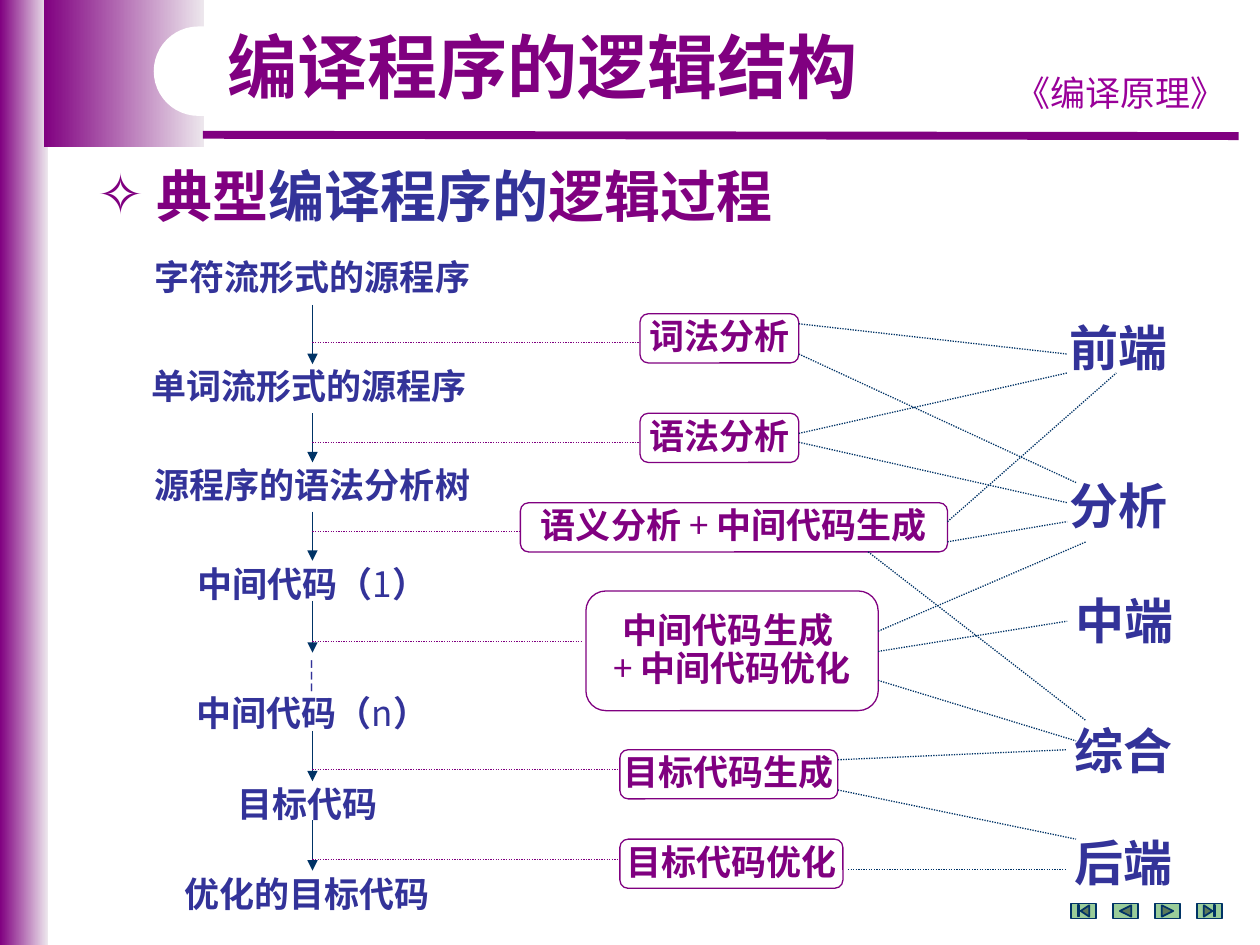
from lxml import etree
from pptx import Presentation
from pptx.dml.color import RGBColor
from pptx.enum.dml import MSO_LINE
from pptx.enum.shapes import MSO_CONNECTOR, MSO_SHAPE
from pptx.enum.text import MSO_ANCHOR, MSO_AUTO_SIZE, PP_ALIGN
from pptx.oxml.ns import qn
from pptx.util import Inches, Pt

STRAIGHT, DOTTED = MSO_CONNECTOR.STRAIGHT, MSO_LINE.ROUND_DOT
RECT, ROUNDED = MSO_SHAPE.RECTANGLE, MSO_SHAPE.ROUNDED_RECTANGLE
LEFT, CENTER = PP_ALIGN.LEFT, PP_ALIGN.CENTER
TOP, MIDDLE = MSO_ANCHOR.TOP, MSO_ANCHOR.MIDDLE
CJK = "Noto Sans CJK SC"
COLORS = {
    name: RGBColor.from_string(value)
    for name, value in {
        "purple": "800080", "pale": "EDE7ED", "violet": "990099", "blue": "333399",
        "navy": "003366", "green": "99CC99", "white": "FFFFFF",
    }.items()
}


def write(shape, paragraphs, size=20, color="blue", bold=True, font=CJK,
          align=CENTER, anchor=TOP, spacing=0.9, wrap=False):
    """Fill a shape with paragraphs of runs; a run is a text or (text, overrides)."""
    frame = shape.text_frame
    frame.word_wrap = wrap
    frame.auto_size = MSO_AUTO_SIZE.NONE
    frame.vertical_anchor = anchor
    for index, runs in enumerate(paragraphs):
        paragraph = frame.add_paragraph() if index else frame.paragraphs[0]
        paragraph.alignment = align
        paragraph.line_spacing = spacing
        paragraph.space_before = Pt(0)
        for part in runs:
            text, changes = (part, {}) if isinstance(part, str) else part
            run = paragraph.add_run()
            run.text = text
            run.font.size = Pt(size)
            run.font.bold = changes.get("bold", bold)
            run.font.color.rgb = COLORS[changes.get("color", color)]
            run.font.name = font
            east_asian = etree.SubElement(run.font._element, qn("a:ea"))
            east_asian.set("typeface", CJK)


def connect(x1, y1, x2, y2, color="navy", width=0.75, dash=None, arrow=False):
    line = slide.shapes.add_connector(
        STRAIGHT, Inches(x1), Inches(y1), Inches(x2), Inches(y2))
    line.line.color.rgb = COLORS[color]
    line.line.width = Pt(width)
    if dash:
        line.line.dash_style = dash
    if arrow:
        etree.SubElement(line.line._get_or_add_ln(), qn("a:tailEnd"), type="triangle")
    etree.SubElement(line._element.spPr, qn("a:effectLst"))


prs = Presentation()
prs.slide_width, prs.slide_height = Inches(10), Inches(7.5)
slide = prs.slides.add_slide(prs.slide_layouts[1])
shapes = slide.shapes

# Purple frame
for left, width, height in [(0, 0.38, 7.5), (0.35, 1.27, 1.17)]:
    band = shapes.add_shape(RECT, Inches(left), Inches(0), Inches(width), Inches(height))
    band.shadow.inherit = False
    band.line.fill.background()
    band.fill.gradient()
    band.fill.gradient_angle = 0
    for stop, position, color in zip(band.fill.gradient_stops, (0, 1), ("purple", "pale")):
        stop.position = position
        stop.color.rgb = COLORS[color]
connect(1.61, 1.07, 9.83, 1.08, color="purple", width=4.5)

course = shapes.add_textbox(Inches(7.91), Inches(0.52), Inches(1.97), Inches(0.43))
write(course, [["《编译原理》"]], color="violet", bold=False, spacing=1)

title_backing = shapes.add_shape(ROUNDED, Inches(1.22), Inches(0.21), Inches(3.62), Inches(0.71))
title_backing.adjustments[0] = 0.5
title_backing.shadow.inherit = False
title_backing.fill.solid()
title_backing.fill.fore_color.rgb = COLORS["white"]
title_backing.line.fill.background()

# Navigation buttons
for index, button_kind in enumerate([
        MSO_SHAPE.ACTION_BUTTON_BEGINNING, MSO_SHAPE.ACTION_BUTTON_BACK_OR_PREVIOUS,
        MSO_SHAPE.ACTION_BUTTON_FORWARD_OR_NEXT, MSO_SHAPE.ACTION_BUTTON_END]):
    button = shapes.add_shape(
        button_kind, Inches(8.5 + index / 3), Inches(7.17), Inches(0.2), Inches(0.12))
    button.shadow.inherit = False
    button.fill.solid()
    button.fill.fore_color.rgb = COLORS["green"]
    button.line.color.rgb = COLORS["navy"]
    button.line.width = Pt(1)

# Title and heading, raised above the frame
title, heading = shapes.title, slide.placeholders[1]
for placeholder, (left, top, width, height) in [
        (title, (1.65, 0.21, 5.31, 0.7)), (heading, (0.67, 1.23, 5.79, 0.63))]:
    placeholder.left, placeholder.top = Inches(left), Inches(top)
    placeholder.width, placeholder.height = Inches(width), Inches(height)
    shapes.element.append(placeholder.element)
write(title, [["编译程序的逻辑结构"]], size=40, color="purple", font="Arial", wrap=True)
write(heading, [["典型", ("编译程序的", {"color": "blue"}), "逻辑过程"]],
      size=32, color="purple", align=LEFT, spacing=1, wrap=True)
bullet_format = heading.text_frame.paragraphs[0]._p.get_or_add_pPr()
bullet_format.set("marL", str(Inches(0.47)))
bullet_format.set("indent", str(-Inches(0.47)))
bullet_color = etree.SubElement(bullet_format, qn("a:buClr"))
etree.SubElement(bullet_color, qn("a:srgbClr"), val=str(COLORS["purple"]))
etree.SubElement(bullet_format, qn("a:buChar"), char="✧")

# Compilation phases
PLAIN = {"bold": False}
for left, top, width, height, paragraphs in [
        (5.08, 2.49, 1.26, 0.39, [["词法分析"]]),
        (5.08, 3.28, 1.26, 0.39, [["语法分析"]]),
        (4.13, 3.99, 3.39, 0.39, [["语义分析 ", ("+ ", PLAIN), "中间代码生成"]]),
        (4.65, 4.69, 2.32, 0.95, [["中间代码生成 "], [("+ ", PLAIN), "中间代码优化"]]),
        (4.92, 5.95, 1.73, 0.39, [["目标代码生成"]]),
        (4.92, 6.66, 1.77, 0.39, [["目标代码优化"]])]:
    phase = shapes.add_shape(ROUNDED, Inches(left), Inches(top), Inches(width), Inches(height))
    phase.shadow.inherit = False
    phase.fill.solid()
    phase.fill.fore_color.rgb = COLORS["white"]
    phase.line.color.rgb = COLORS["purple"]
    phase.line.width = Pt(0.75)
    write(phase, paragraphs, color="purple", anchor=MIDDLE)

# Program forms on the left, compiler parts on the right
for left, top, width, height, size, paragraphs in [
        (1.06, 2.02, 2.84, 0.41, 20, [["字符流形式的源程序"]]),
        (1.09, 2.88, 2.73, 0.41, 20, [["单词流形式的源程序"]]),
        (1.06, 3.67, 2.84, 0.41, 20, [["源程序的语法分析树"]]),
        (1.06, 4.45, 2.84, 0.41, 20, [["中间代码（", ("1", PLAIN), "）"]]),
        (1.06, 5.18, 2.84, 0.71, 20, [["┆"], ["中间代码（", ("n", PLAIN), "）"]]),
        (1.77, 6.2, 1.34, 0.41, 20, [["目标代码"]]),
        (1.3, 6.91, 2.28, 0.41, 20, [["优化的目标代码"]]),
        (8.38, 2.52, 0.99, 0.53, 28, [["前端"]]),
        (8.38, 3.78, 0.99, 0.53, 28, [["分析"]]),
        (8.43, 4.69, 0.99, 0.53, 28, [["中端"]]),
        (8.42, 5.72, 0.99, 0.53, 28, [["综合"]]),
        (8.42, 6.61, 0.99, 0.53, 28, [["后端"]])]:
    label = shapes.add_textbox(Inches(left), Inches(top), Inches(width), Inches(height))
    write(label, paragraphs, size=size)

# Each step: flow arrow start and end, then the dotted leader to its phase
FLOW_X = 2.48
for start, end, leader_y, phase_x in [
        (2.42, 2.89, 2.72, 5.08), (3.28, 3.67, 3.51, 5.08), (4.06, 4.45, 4.22, 4.13),
        (4.77, 5.18, 5.09, 4.61), (5.8, 6.2, 6.11, 4.92), (6.51, 6.91, 6.82, 4.92)]:
    connect(FLOW_X, start, FLOW_X, end, arrow=True)
    connect(FLOW_X, leader_y, phase_x, leader_y, color="purple", dash=DOTTED)

# Phases to compiler parts
for ends in [
        (6.34, 2.57, 8.47, 2.81), (6.34, 2.81, 8.54, 3.83),
        (6.34, 3.44, 8.47, 2.96), (6.34, 3.51, 8.47, 3.99),
        (7.52, 4.14, 8.86, 2.96), (7.52, 4.3, 8.47, 4.14), (6.89, 4.38, 8.62, 5.72),
        (6.97, 5.01, 8.62, 4.3), (6.97, 5.17, 8.47, 4.93), (6.97, 5.4, 8.54, 5.88),
        (6.65, 6.03, 8.47, 5.95), (6.65, 6.27, 8.54, 6.66), (6.73, 6.9, 8.47, 6.9)]:
    connect(*ends, dash=DOTTED)

prs.save("out.pptx")
